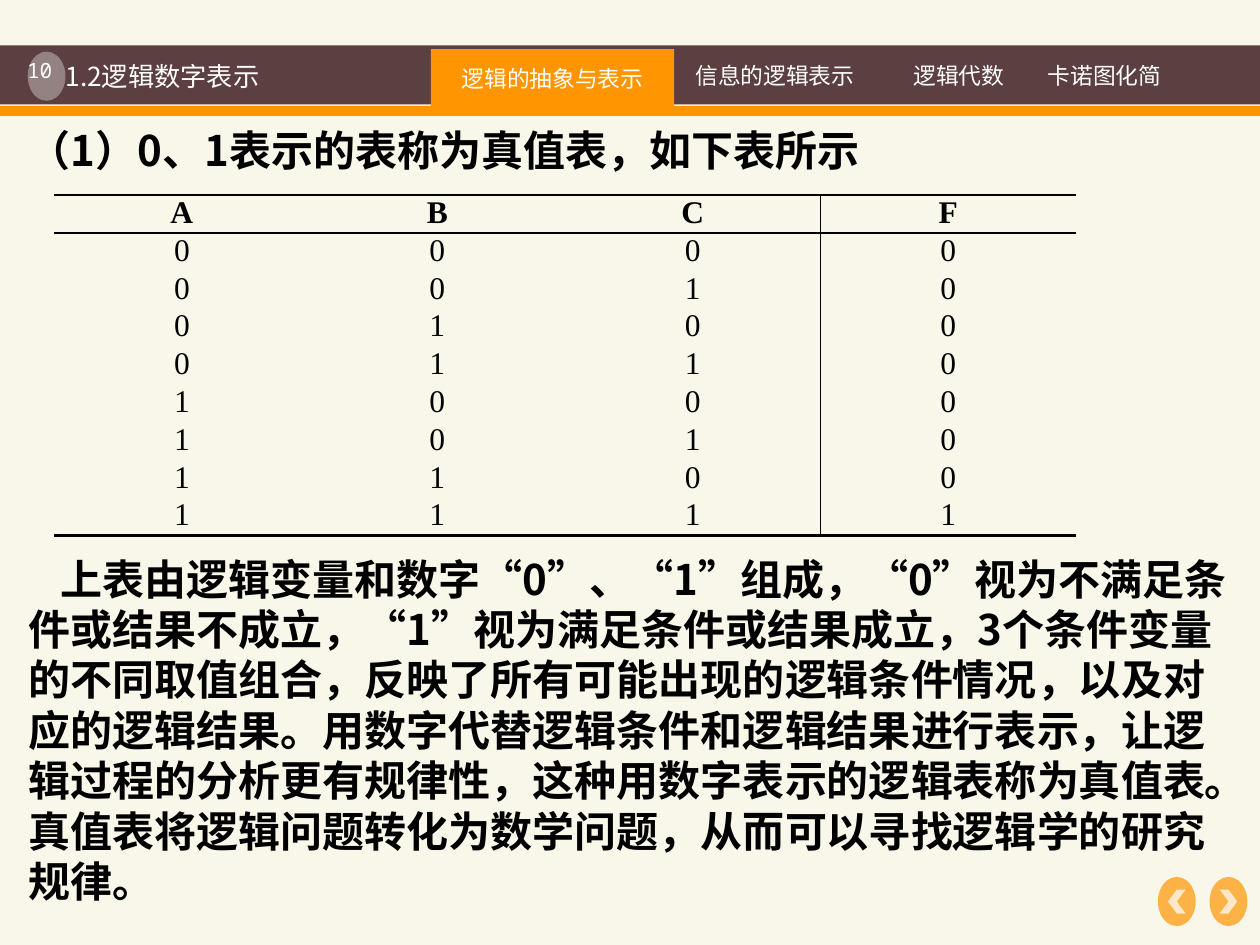
from dataclasses import dataclass
from lxml import etree
from pptx import Presentation
from pptx.dml.color import RGBColor
from pptx.enum.shapes import MSO_SHAPE
from pptx.enum.text import MSO_ANCHOR, MSO_AUTO_SIZE, PP_ALIGN
from pptx.oxml.ns import qn
from pptx.util import Inches, Pt

RECT, OVAL, CHEVRON = MSO_SHAPE.RECTANGLE, MSO_SHAPE.OVAL, MSO_SHAPE.CHEVRON
LEFT, CENTER = PP_ALIGN.LEFT, PP_ALIGN.CENTER
TOP, MIDDLE = MSO_ANCHOR.TOP, MSO_ANCHOR.MIDDLE


@dataclass(frozen=True)
class Theme:
    background: str = "F9F7EA"
    bar: str = "5C3F41"
    accent: str = "FF9500"
    white: str = "FFFFFF"
    black: str = "000000"
    sans: str = "Noto Sans CJK SC"
    mono: str = "Noto Sans Mono"
    serif: str = "Times New Roman"
    body: int = 24
    table: int = 18
    title: int = 15
    tab: int = 13
    number: int = 12


T = Theme()


def add_block(kind, x, y, w, h, color, alpha=100):
    sp = s.shapes.add_shape(kind, Inches(x), Inches(y), Inches(w), Inches(h))
    sp.shadow.inherit = False
    sp.fill.solid()
    sp.fill.fore_color.rgb = RGBColor.from_string(color)
    sp.line.fill.background()
    if alpha < 100:
        clr = sp.element.spPr.find(qn("a:solidFill")).find(qn("a:srgbClr"))
        etree.SubElement(clr, qn("a:alpha")).set("val", str(alpha * 1000))
    return sp


def format_text(tf, size, color, font=T.sans, align=CENTER, anchor=MIDDLE, bold=False):
    tf.word_wrap = True
    tf.auto_size = MSO_AUTO_SIZE.NONE
    tf.vertical_anchor = anchor
    tf.margin_left = tf.margin_right = Inches(0.07)
    tf.margin_top = tf.margin_bottom = Inches(0.04)
    for p in tf.paragraphs:
        p.alignment = align
        for r in p.runs:
            r.font.size = Pt(size)
            r.font.bold = bold
            r.font.name = font
            r.font.color.rgb = RGBColor.from_string(color)
            etree.SubElement(r.font._element, qn("a:ea")).set("typeface", font)


prs = Presentation()
prs.slide_width, prs.slide_height = Inches(10), Inches(7.5)
s = prs.slides.add_slide(prs.slide_layouts[1])
s.background.fill.solid()
s.background.fill.fore_color.rgb = RGBColor.from_string(T.background)
title, body = s.shapes.title, s.placeholders[1]

# Header bar and section tabs
add_block(RECT, 0, 0.36, 10, 0.47, T.bar)
add_block(RECT, 0, 0.84, 10, 0.08, T.accent)
for text, x, w in [("信息的逻辑表示", 5.31, 1.68), ("逻辑代数", 6.82, 1.58),
                   ("卡诺图化简", 8.19, 1.15)]:
    tab = s.shapes.add_textbox(Inches(x), Inches(0.36), Inches(w), Inches(0.47))
    tab.text_frame.text = text
    format_text(tab.text_frame, T.tab, T.white)
active = add_block(RECT, 3.42, 0.39, 1.93, 0.47, T.accent)
active.text_frame.text = "逻辑的抽象与表示"
format_text(active.text_frame, T.tab, T.white)

# Page number
add_block(OVAL, 0.22, 0.41, 0.3, 0.39, T.white, 35)
number = s.shapes.add_textbox(Inches(0.05), Inches(0.42), Inches(0.53), Inches(0.28))
number.text_frame.text = "10"
format_text(number.text_frame, T.number, T.white, T.mono, anchor=TOP)

# Slide title, brought in front of the bar
title.left, title.top, title.width, title.height = (
    Inches(v) for v in (0.45, 0.44, 2.77, 0.33))
title.text_frame.text = "1.2逻辑数字表示"
format_text(title.text_frame, T.title, T.white, align=LEFT)
title.element.getparent().append(title.element)

# Body text, with room for the table between its paragraphs
body.left, body.top, body.width, body.height = (
    Inches(v) for v in (0.16, 0.95, 9.68, 6.5))
tf = body.text_frame
tf.text = "（1）0、1表示的表称为真值表，如下表所示"
tf.add_paragraph().text = (
    "上表由逻辑变量和数字“0”、“1”组成，“0”视为不满足条件或结果不成立，"
    "“1”视为满足条件或结果成立，3个条件变量的不同取值组合，"
    "反映了所有可能出现的逻辑条件情况，以及对应的逻辑结果。"
    "用数字代替逻辑条件和逻辑结果进行表示，让逻辑过程的分析更有规律性，"
    "这种用数字表示的逻辑表称为真值表。"
    "真值表将逻辑问题转化为数学问题，从而可以寻找逻辑学的研究规律。")
format_text(tf, T.body, T.black, align=LEFT, anchor=TOP, bold=True)
for p, before, indent in zip(tf.paragraphs, (0, 216), (0, 0.25)):
    p.line_spacing = Pt(28.8)
    p.space_before, p.space_after = Pt(before), Pt(0)
    pPr = p._p.get_or_add_pPr()
    pPr.set("marL", "0")
    pPr.set("indent", str(Inches(indent)))
    etree.SubElement(pPr, qn("a:buNone"))

# Truth table of F = A and B and C
rows = [list("ABCF")]
for n in range(8):
    bits = [n >> 2 & 1, n >> 1 & 1, n & 1]
    rows.append([str(v) for v in bits + [int(all(bits))]])
last = len(rows) - 1
table = s.shapes.add_table(len(rows), 4, Inches(0.43), Inches(1.55),
                           Inches(8.11), Inches(2.7)).table
table.first_row = table.horz_banding = False
for i, row in enumerate(rows):
    table.rows[i].height = Inches(0.3)
    for j, value in enumerate(row):
        cell = table.cell(i, j)
        cell.text_frame.text = value
        format_text(cell.text_frame, T.table, T.black, T.serif, bold=i == 0)
        cell.vertical_anchor = TOP
        cell.margin_left = cell.margin_right = Inches(0.07)
        cell.margin_top = cell.margin_bottom = 0
        borders = {"a:lnL": 1 if j == 3 else 0,
                   "a:lnR": 1 if j == 2 else 0,
                   "a:lnT": {0: 1.5, 1: 1}.get(i, 0),
                   "a:lnB": {0: 1, last: 1.5}.get(i, 0)}
        tcPr = cell._tc.get_or_add_tcPr()
        for side, width in borders.items():
            ln = etree.SubElement(tcPr, qn(side), w=str(Pt(width)))
            if width:
                fill = etree.SubElement(ln, qn("a:solidFill"))
                etree.SubElement(fill, qn("a:srgbClr"), val=T.black)
            else:
                etree.SubElement(ln, qn("a:noFill"))
        cell.fill.background()

# Previous and next buttons
for x, turn in [(9.19, 180), (9.6, 0)]:
    add_block(OVAL, x, 6.96, 0.3, 0.39, T.accent, 70)
    add_block(CHEVRON, x + 0.08, 7.06, 0.14, 0.19, T.white, 70).rotation = turn

prs.save("out.pptx")
